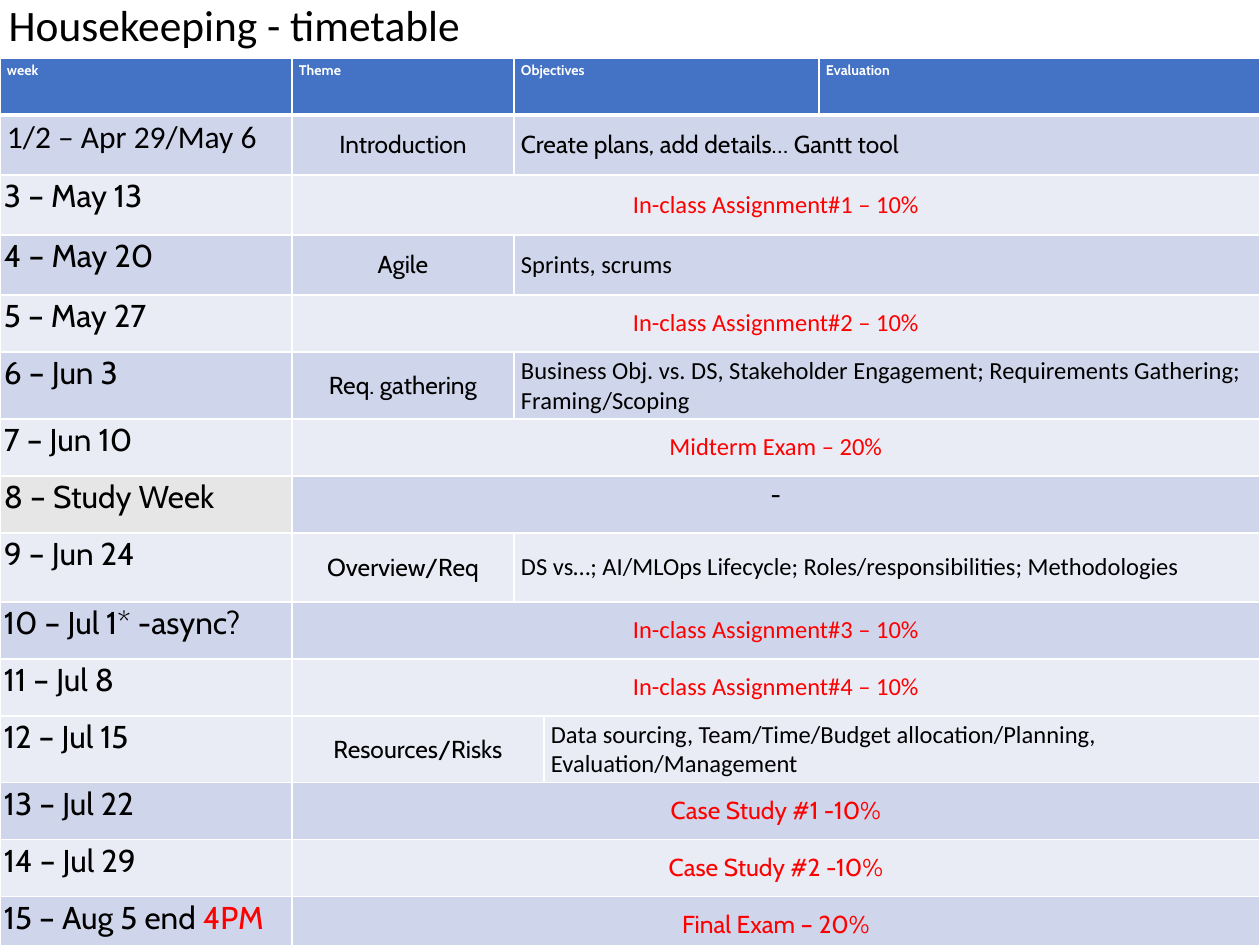
"""Build the course timetable slide."""
import pptx
import pptx.dml.color
import pptx.enum.text
import pptx.oxml
import pptx.oxml.ns
import pptx.util

LEFT = pptx.enum.text.PP_ALIGN.LEFT
CENTER = pptx.enum.text.PP_ALIGN.CENTER
TOP = pptx.enum.text.MSO_ANCHOR.TOP
MIDDLE = pptx.enum.text.MSO_ANCHOR.MIDDLE

THEME = {
    "header": "4472C4", "dark": "CFD5EA", "light": "E9EBF5", "study": "E7E6E6",
    "white": "FFFFFF", "black": "000000", "red": "FF0000",
    "display": "Cabin", "plain": "Calibri",
    "title_size": 24.8, "header_size": 8, "week_size": 18, "body_size": 14,
}
BODY = {"size": THEME["body_size"], "anchor": MIDDLE}
DISPLAY = {**BODY, "font": THEME["display"]}
PLAIN = {**BODY, "font": THEME["plain"]}
RED = {"color": THEME["red"], "alignment": CENTER}
WEEK = {"size": THEME["week_size"], "font": THEME["display"], "margins": (4, 2)}
STYLES = {
    "header": {"size": THEME["header_size"], "font": THEME["display"],
               "color": THEME["white"], "bold": True},
    "first week": {**WEEK, "font": THEME["plain"], "margins": (7, 4)},
    "week": WEEK,
    "topic": {**DISPLAY, "alignment": CENTER},
    "break": {**DISPLAY, "alignment": CENTER, "anchor": TOP},
    "tools": DISPLAY,
    "goals": PLAIN,
    "assignment": {**PLAIN, **RED},
    "exam": {**DISPLAY, **RED},
}

TITLE = "Housekeeping - timetable"
COLUMNS = [292, 222, 30, 275, 441]
HEADER = [(0, 0, "header", "week"), (1, 1, "header", "Theme"),
          (2, 3, "header", "Objectives"), (4, 4, "header", "Evaluation")]


def lesson(week, topic, goals, style="goals", week_style="week", split=1):
    return [(0, 0, week_style, week), (1, split, "topic", topic),
            (split + 1, 4, style, goals)]


def event(week, text, style="assignment"):
    return [(0, 0, "week", week), (1, 4, style, text)]


ROWS = [
    (57, "header", HEADER),
    (60, "dark", lesson("1/2 – Apr 29/May 6", "Introduction",
                        "Create plans, add details… Gantt tool", "tools", "first week")),
    (60, "light", event("3 – May 13", "In-class Assignment#1 – 10%")),
    (60, "dark", lesson("4 – May 20", "Agile", "Sprints, scrums")),
    (57, "light", event("5 – May 27", "In-class Assignment#2 – 10%")),
    (67, "dark", lesson("6 – Jun 3", "Req. gathering",
                        "Business Obj. vs. DS, Stakeholder Engagement; "
                        "Requirements Gathering; Framing/Scoping")),
    (57, "light", event("7 – Jun 10", "Midterm Exam – 20%")),
    (57, "dark", event("8 – Study Week", "-", "break")),
    (69, "light", lesson("9 – Jun 24", "Overview/Req",
                         "DS vs…; AI/MLOps Lifecycle; Roles/responsibilities; Methodologies")),
    (57, "dark", event("10 – Jul 1* -async?", "In-class Assignment#3 – 10%")),
    (57, "light", event("11 – Jul 8", "In-class Assignment#4 – 10%")),
    (57, "light", lesson("12 – Jul 15", "Resources/Risks",
                         "Data sourcing, Team/Time/Budget allocation/Planning, "
                         "Evaluation/Management", split=2)),
    (57, "dark", event("13 – Jul 22", "Case Study #1 -10%", "exam")),
    (57, "light", event("14 – Jul 29", "Case Study #2 -10%", "exam")),
    (57, "dark", event("15 – Aug 5 end |4PM", "Final Exam – 20%", "exam")),
]


def px(value):
    return pptx.util.Emu(round(value * 914400 / 126))


def write(frame, text, *, size, font, color=THEME["black"], bold=False, alignment=LEFT):
    paragraph = frame.paragraphs[0]
    paragraph.alignment = alignment
    for part, run_color in zip(text.split("|"), (color, THEME["red"])):
        run = paragraph.add_run()
        run.text = part
        run.font.size = pptx.util.Pt(size)
        run.font.name = font
        run.font.bold = bold
        run.font.color.rgb = pptx.dml.color.RGBColor.from_string(run_color)


def paint_cell(cell, color, bottom):
    properties = cell._tc.get_or_add_tcPr()
    for side, width in (("L", 1), ("R", 1), ("T", 1), ("B", bottom)):
        properties.append(pptx.oxml.parse_xml(
            f'<a:ln{side} {pptx.oxml.ns.nsdecls("a")} w="{pptx.util.Pt(width)}">'
            f'<a:solidFill><a:srgbClr val="{THEME["white"]}"/></a:solidFill></a:ln{side}>'))
    cell.fill.solid()
    cell.fill.fore_color.rgb = pptx.dml.color.RGBColor.from_string(color)


def fill_cell(cell, text, *, anchor=TOP, margins=(7, 4), **text_format):
    cell.vertical_anchor = anchor
    cell.margin_left = cell.margin_right = px(margins[0])
    cell.margin_top = cell.margin_bottom = px(margins[1])
    write(cell.text_frame, text, **text_format)


def add_title(slide):
    title = slide.shapes.title
    title.left, title.top, title.width, title.height = map(px, (-4, -8, 571, 66))
    frame = title.text_frame
    frame.word_wrap = True
    frame.auto_size = pptx.enum.text.MSO_AUTO_SIZE.SHAPE_TO_FIT_TEXT
    frame.vertical_anchor = TOP
    write(frame, TITLE, size=THEME["title_size"], font=THEME["plain"])


def add_timetable(slide):
    height = sum(row[0] for row in ROWS)
    table = slide.shapes.add_table(len(ROWS), len(COLUMNS), 0, px(58),
                                   px(sum(COLUMNS)), px(height)).table
    for column, width in zip(table.columns, COLUMNS):
        column.width = px(width)
    for index, (row_height, band, entries) in enumerate(ROWS):
        table.rows[index].height = px(row_height)
        for cell in table.rows[index].cells:
            paint_cell(cell, THEME[band], 3 if band == "header" else 1)
        for first, last, style, text in entries:
            cell = table.cell(index, first)
            if last > first:
                cell.merge(table.cell(index, last))
            fill_cell(cell, text, **STYLES[style])
            if "Study Week" in text:
                cell.fill.fore_color.rgb = pptx.dml.color.RGBColor.from_string(THEME["study"])


def main():
    presentation = pptx.Presentation()
    presentation.slide_width, presentation.slide_height = px(1260), px(945)
    slide = presentation.slides.add_slide(presentation.slide_layouts[5])
    add_title(slide)
    add_timetable(slide)
    presentation.save("out.pptx")


if __name__ == "__main__":
    main()
